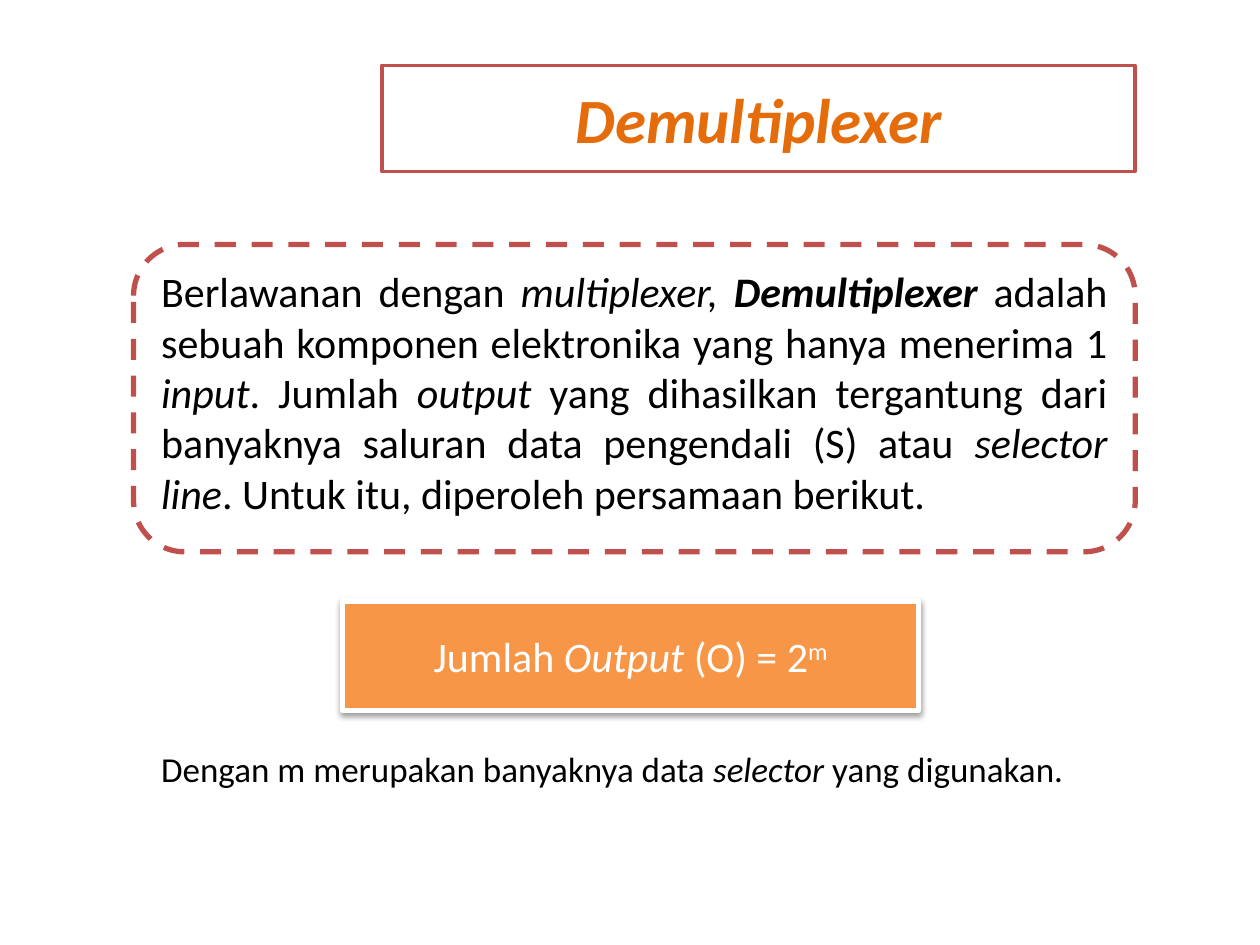
from dataclasses import dataclass

import pptx
import pptx.dml.color
import pptx.enum.dml
import pptx.enum.shapes
import pptx.enum.text
import pptx.oxml
import pptx.oxml.ns
import pptx.util

Inches = pptx.util.Inches
Align = pptx.enum.text.PP_ALIGN
Anchor = pptx.enum.text.MSO_ANCHOR
DRAWING_NS = pptx.oxml.ns.nsdecls("a")


@dataclass
class Run:
    text: str
    italic: bool = False
    bold: bool = False
    superscript: bool = False


@dataclass
class Box:
    left: float
    top: float
    width: float
    height: float
    fill: str | None = None
    line: str | None = None
    line_width: float = 0
    dashed: bool = False


@dataclass
class Text:
    runs: list[Run]
    size: int
    color: str
    align: Align
    anchor: Anchor = Anchor.TOP


def rgb(value: str) -> pptx.dml.color.RGBColor:
    return pptx.dml.color.RGBColor.from_string(value)


def xml(markup: str):
    return pptx.oxml.parse_xml(markup.replace(" ", f" {DRAWING_NS} ", 1))


def place(shape, box: Box) -> None:
    shape.left, shape.top = Inches(box.left), Inches(box.top)
    shape.width, shape.height = Inches(box.width), Inches(box.height)
    if box.fill:
        shape.fill.solid()
        shape.fill.fore_color.rgb = rgb(box.fill)
    if box.line:
        shape.line.color.rgb = rgb(box.line)
        shape.line.width = pptx.util.Pt(box.line_width)
    if box.dashed:
        shape.line.dash_style = pptx.enum.dml.MSO_LINE.DASH
    shape.shadow.inherit = False


def write(shape, text: Text):
    frame = shape.text_frame
    frame.word_wrap = True
    frame.auto_size = pptx.enum.text.MSO_AUTO_SIZE.NONE
    frame.vertical_anchor = text.anchor
    paragraph = frame.paragraphs[0]
    paragraph.alignment = text.align
    for part in text.runs:
        run = paragraph.add_run()
        run.text = part.text
        run.font.name = "Calibri"
        run.font.size = pptx.util.Pt(text.size)
        run.font.color.rgb = rgb(text.color)
        run.font.bold = part.bold
        run.font.italic = part.italic
        if part.superscript:
            run.font.element.set("baseline", "30000") if hasattr(run.font, "element") else \
                run._r.get_or_add_rPr().set("baseline", "30000")
    return paragraph


def add_title(slide) -> None:
    title = slide.shapes.title
    place(title, Box(3.03, 0.52, 5.98, 0.84, "FFFFFF", "C0504D", 2))
    paragraph = write(title, Text(
        [Run("Demultiplexer", italic=True, bold=True)],
        36, "E46C0A", Align.CENTER, Anchor.MIDDLE))
    paragraph._p.get_or_add_pPr().insert(
        0, xml('<a:spcBef ><a:spcPct val="20000"/></a:spcBef>'))


def add_definition(slide) -> None:
    definition = slide.placeholders[1]
    place(definition, Box(1.06, 1.94, 7.95, 2.44, "FFFFFF", "C0504D", 3, True))
    definition.element.spPr.insert(
        1, xml('<a:prstGeom prst="roundRect"><a:avLst/></a:prstGeom>'))
    paragraph = write(definition, Text([
        Run("Berlawanan dengan "),
        Run("multiplexer, ", italic=True),
        Run("Demultiplexer ", italic=True, bold=True),
        Run("adalah sebuah komponen elektronika yang hanya menerima 1 "),
        Run("input", italic=True),
        Run(". Jumlah "),
        Run("output ", italic=True),
        Run("yang dihasilkan tergantung dari banyaknya saluran data pengendali (S) atau "),
        Run("selector line", italic=True),
        Run(". Untuk itu, diperoleh persamaan berikut."),
    ], 24, "000000", Align.JUSTIFY))
    properties = paragraph._p.get_or_add_pPr()
    properties.set("marL", "0")
    properties.set("indent", "0")
    properties.append(xml("<a:buNone />"))


def add_formula(slide) -> None:
    formula = slide.shapes.add_shape(
        pptx.enum.shapes.MSO_SHAPE.RECTANGLE, 0, 0, 0, 0)
    place(formula, Box(2.72, 4.77, 4.57, 0.87, "F79646", "FFFFFF", 3))
    effects = formula.element.spPr.find(pptx.oxml.ns.qn("a:effectLst"))
    effects.append(xml(
        '<a:outerShdw blurRad="40000" dist="20000" dir="5400000" rotWithShape="0">'
        '<a:srgbClr val="000000"><a:alpha val="38000"/></a:srgbClr></a:outerShdw>'))
    write(formula, Text([
        Run("Jumlah "),
        Run("Output", italic=True),
        Run(" (O) = 2"),
        Run("m", superscript=True),
    ], 24, "FFFFFF", Align.CENTER, Anchor.MIDDLE))


def add_explanation(slide) -> None:
    explanation = slide.shapes.add_textbox(0, 0, 0, 0)
    place(explanation, Box(1.18, 5.88, 7.64, 0.44))
    write(explanation, Text([
        Run("Dengan m merupakan banyaknya data "),
        Run("selector", italic=True),
        Run(" yang digunakan."),
    ], 20, "000000", Align.LEFT))


def main() -> None:
    presentation = pptx.Presentation()
    presentation.slide_width = Inches(10)
    presentation.slide_height = Inches(7.5)
    slide = presentation.slides.add_slide(presentation.slide_layouts[1])
    add_title(slide)
    add_definition(slide)
    add_formula(slide)
    add_explanation(slide)
    presentation.save("out.pptx")


if __name__ == "__main__":
    main()
